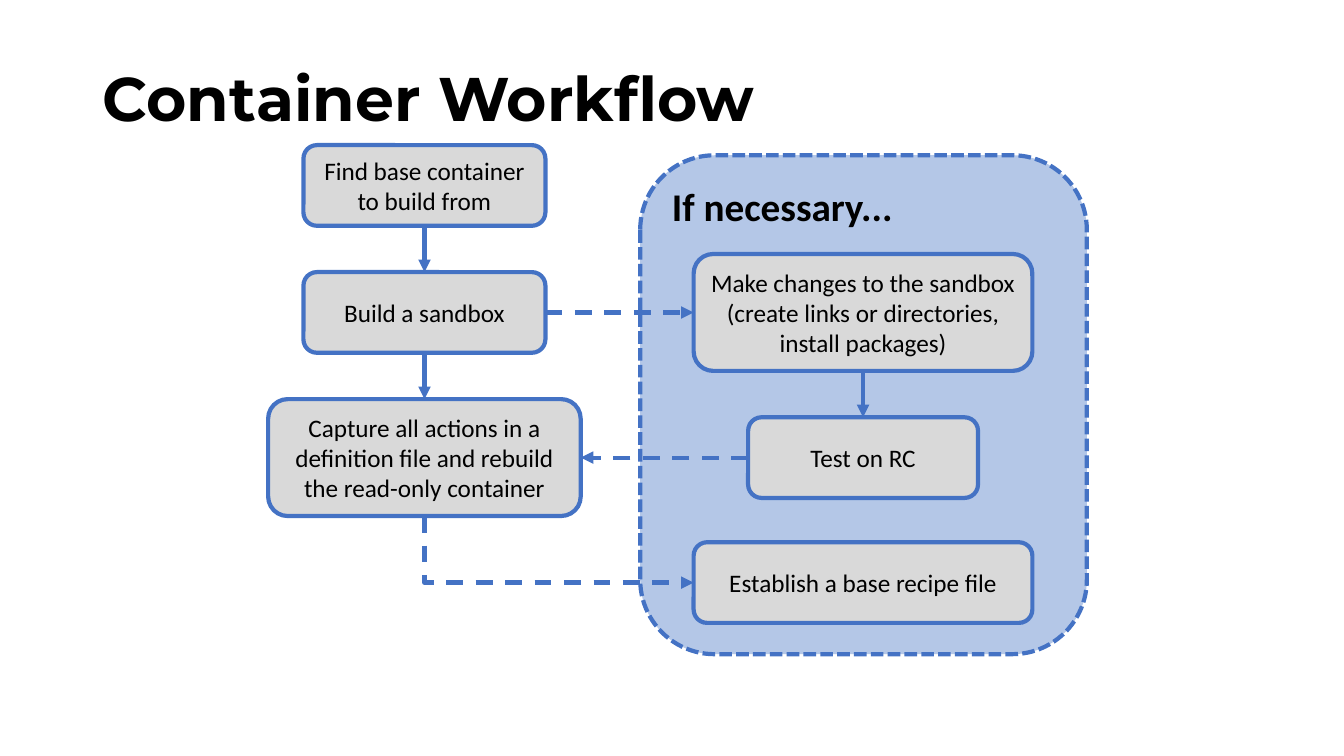
"""Build the container workflow slide."""
import pptx
import pptx.util
import pptx.dml.color
import pptx.enum.dml
import pptx.enum.shapes
import pptx.enum.text
import pptx.oxml.ns
from lxml import etree

TITLE = ("Container Workflow", (92, 28, 1150, 145))
PANEL = ("If necessary...", (635, 154, 443, 495))
STEPS = {
    "find": ("Find base container to build from", (301, 144, 240, 80)),
    "build": ("Build a sandbox", (301, 270, 240, 80)),
    "change": ("Make changes to the sandbox (create links or directories, "
               "install packages)", (688, 252, 336, 116)),
    "test": ("Test on RC", (742, 414, 228, 80)),
    "capture": ("Capture all actions in a definition file and rebuild "
                "the read-only container", (266, 396, 310, 116)),
    "recipe": ("Establish a base recipe file", (688, 538, 336, 80)),
}
TOP, LEFT, BOTTOM, RIGHT = range(4)
LINKS = [
    ("find", BOTTOM, "build", TOP, False),
    ("build", BOTTOM, "capture", TOP, False),
    ("change", BOTTOM, "test", TOP, False),
    ("build", RIGHT, "change", LEFT, True),
    ("test", LEFT, "capture", RIGHT, True),
    ("capture", BOTTOM, "recipe", LEFT, True),
]
THEME = {
    "line": "4472C4", "panel": "B4C7E7", "step": "D9D9D9", "ink": "000000",
    "head": "Montserrat", "body": "Calibri",
    "title": 44, "label": 28, "text": 18, "stroke": 3,
}
SCALE = 9144
DASH = pptx.enum.dml.MSO_LINE
KIND = pptx.enum.shapes.MSO_CONNECTOR
ALIGN = pptx.enum.text.PP_ALIGN
ANCHOR = pptx.enum.text.MSO_ANCHOR


def emu(box):
    return [n * SCALE for n in box]


def color(name):
    return pptx.dml.color.RGBColor.from_string(THEME[name])


def write(shape, text, size, font="body", bold=False,
          align=ALIGN.LEFT, anchor=ANCHOR.MIDDLE):
    frame = shape.text_frame
    frame.word_wrap = True
    frame.vertical_anchor = anchor
    para = frame.paragraphs[0]
    para.alignment = align
    run = para.add_run()
    run.text = text
    run.font.name = THEME[font]
    run.font.size = pptx.util.Pt(THEME[size])
    run.font.bold = bold
    run.font.color.rgb = color("ink")
    return para


def stroke(line, dash=None):
    line.color.rgb = color("line")
    line.width = pptx.util.Pt(THEME["stroke"])
    if dash:
        line.dash_style = dash


def add_box(slide, box, fill, dash=None):
    kind = pptx.enum.shapes.MSO_SHAPE.ROUNDED_RECTANGLE
    shape = slide.shapes.add_shape(kind, *emu(box))
    shape.shadow.inherit = False
    shape.fill.solid()
    shape.fill.fore_color.rgb = color(fill)
    stroke(shape.line, dash)
    return shape


def bend(link):
    wide, high = link.width, link.height
    midx, midy = link.left + wide // 2, link.top + high // 2
    link.left, link.top = midx - high // 2, midy - wide // 2
    link.width, link.height = high, wide
    props = link._element.spPr
    frame = props.find(pptx.oxml.ns.qn("a:xfrm"))
    frame.set("rot", "16200000")
    frame.set("flipH", "1")
    props.find(pptx.oxml.ns.qn("a:prstGeom")).set("prst", "bentConnector2")


def add_link(slide, start, exit, end, entry, dashed):
    bent = exit % 2 != entry % 2
    kind = KIND.ELBOW if bent else KIND.STRAIGHT
    link = slide.shapes.add_connector(kind, 0, 0, 0, 0)
    link.begin_connect(start, exit)
    link.end_connect(end, entry)
    if bent:
        bend(link)
    stroke(link.line, DASH.DASH if dashed else None)
    tip = etree.SubElement(link.line._get_or_add_ln(),
                           pptx.oxml.ns.qn("a:tailEnd"))
    tip.set("type", "triangle")
    etree.SubElement(link._element.spPr, pptx.oxml.ns.qn("a:effectLst"))


def main():
    deck = pptx.Presentation()
    deck.slide_width, deck.slide_height = emu((1333, 750))
    slide = deck.slides.add_slide(deck.slide_layouts[6])

    text, box = PANEL
    panel = add_box(slide, box, "panel", DASH.SQUARE_DOT)
    write(panel, text, "label", bold=True, anchor=ANCHOR.TOP)

    text, box = TITLE
    title = slide.shapes.add_textbox(*emu(box))
    write(title, text, "title", "head", True).line_spacing = 0.9

    nodes = {}
    for name, (text, box) in STEPS.items():
        nodes[name] = add_box(slide, box, "step")
        write(nodes[name], text, "text", align=ALIGN.CENTER)

    for start, exit, end, entry, dashed in LINKS:
        add_link(slide, nodes[start], exit, nodes[end], entry, dashed)

    deck.save("out.pptx")


if __name__ == "__main__":
    main()
